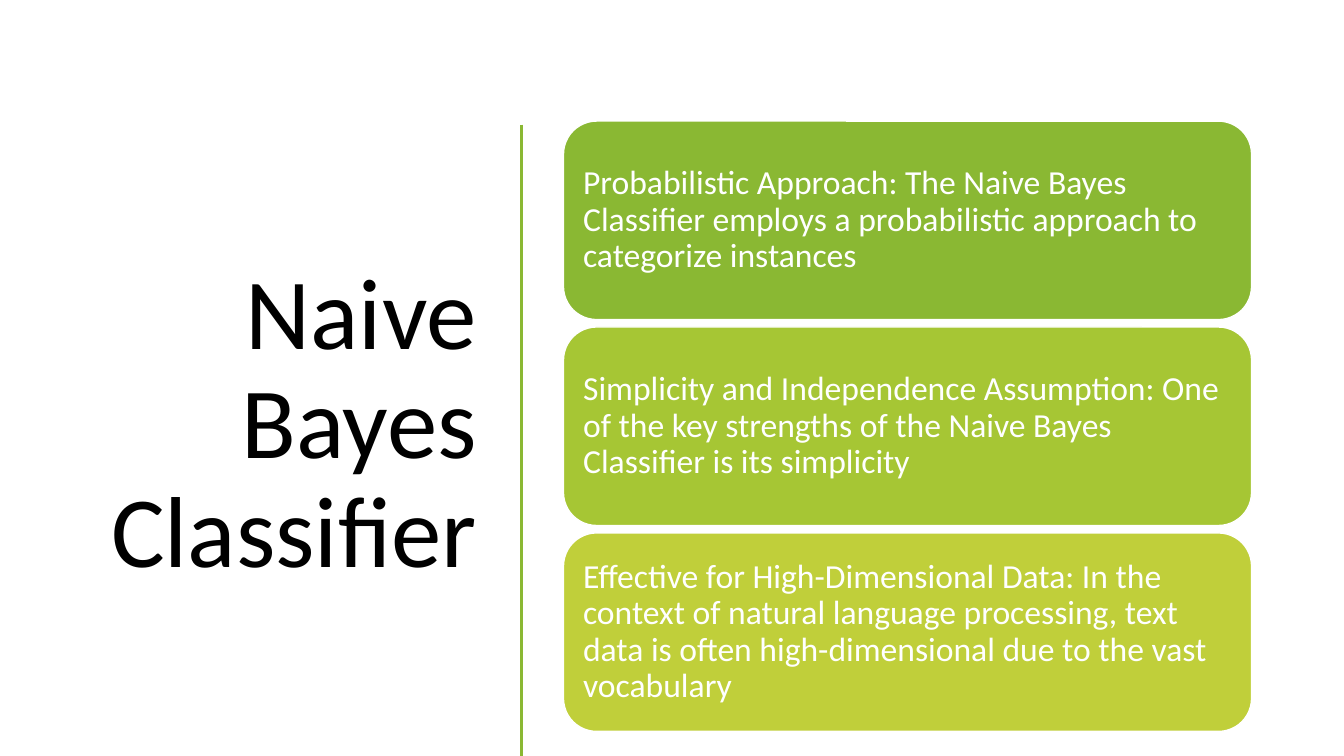
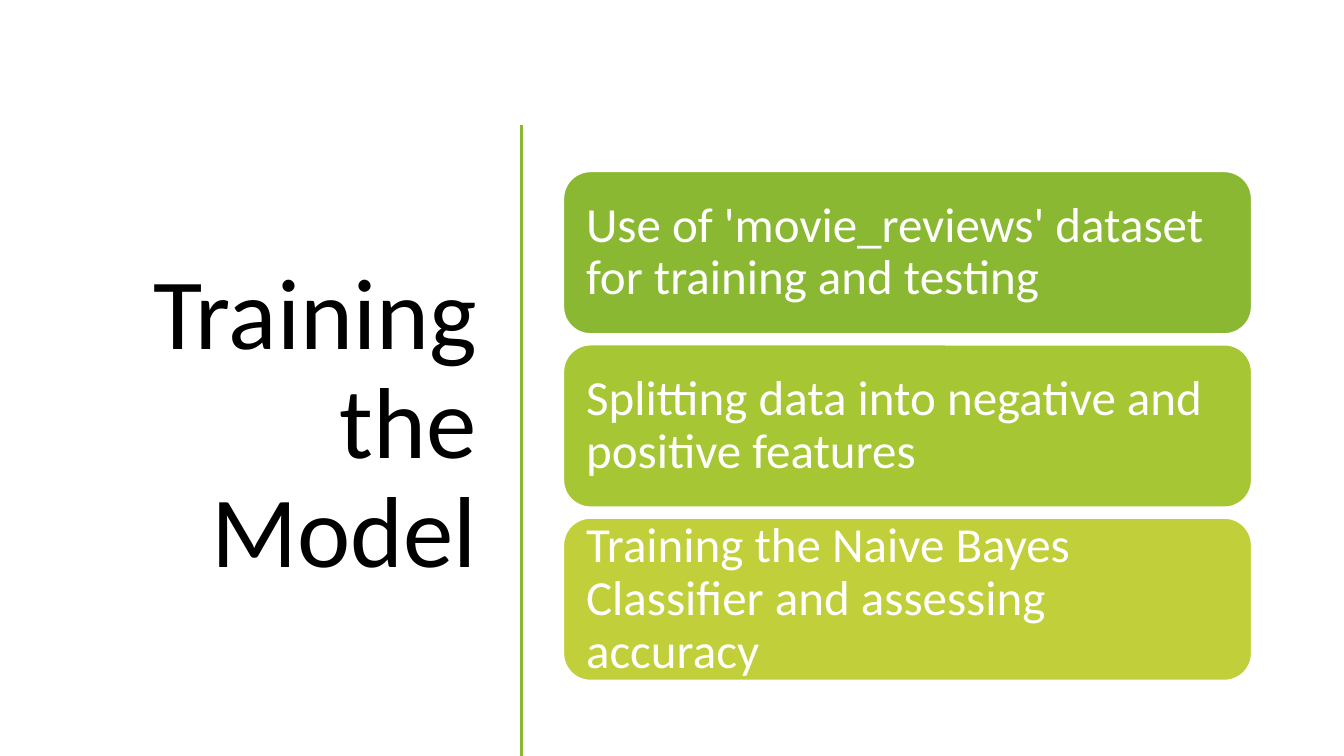
import pptx
import pptx.util
import pptx.dml.color
import pptx.enum.shapes
import pptx.enum.text
import lxml.etree
from pptx.oxml.ns import qn

Pt = pptx.util.Pt
FONT = "Calibri"
COLOURS = {
    "title": "000000",
    "card_text": "FFFFFF",
    "outline": "FFFFFF",
    "divider": "8AB833",
}
CARD_FILLS = ["8AB833", "A6C634", "C0CF3A"]
CARD_LEFT, CARD_WIDTH = 402.5, 491.5

TOPICS = [
    {
        "title": "Naive Bayes Classifier",
        "top": 86.5, "height": 141.8, "gap": 5.3, "inset": 7.2, "size": 24,
        "points": [
            "Probabilistic Approach: The Naive Bayes Classifier employs a "
            "probabilistic approach to categorize instances",
            "Simplicity and Independence Assumption: One of the key strengths "
            "of the Naive Bayes Classifier is its simplicity",
            "Effective for High-Dimensional Data: In the context of natural "
            "language processing, text data is often high-dimensional due to "
            "the vast vocabulary",
        ],
    },
    {
        "title": "Training the Model",
        "top": 122.5, "height": 115.9, "gap": 7.9, "inset": 10.5, "size": 35,
        "points": [
            "Use of 'movie_reviews' dataset for training and testing",
            "Splitting data into negative and positive features",
            "Training the Naive Bayes Classifier and assessing accuracy",
        ],
    },
]


def rgb(value):
    return pptx.dml.color.RGBColor.from_string(value)


def write_text(frame, text, size, colour, align):
    frame.word_wrap = True
    frame.auto_size = pptx.enum.text.MSO_AUTO_SIZE.NONE
    frame.vertical_anchor = pptx.enum.text.MSO_ANCHOR.MIDDLE
    paragraph = frame.paragraphs[0]
    paragraph.alignment = align
    paragraph.line_spacing = 0.9
    run = paragraph.add_run()
    run.text = text
    run.font.name = FONT
    run.font.size = Pt(size)
    run.font.color.rgb = rgb(colour)


def add_title(slide, text):
    title = slide.shapes.title
    title.left, title.top = Pt(37.5), Pt(84.3)
    title.width, title.height = Pt(310.3), Pt(440)
    write_text(title.text_frame, text, 72, COLOURS["title"],
               pptx.enum.text.PP_ALIGN.RIGHT)


def add_divider(slide):
    divider = slide.shapes.add_connector(
        pptx.enum.shapes.MSO_CONNECTOR.STRAIGHT,
        Pt(372.5), Pt(89), Pt(372.5), Pt(540))
    divider.line.color.rgb = rgb(COLOURS["divider"])
    divider.line.width = Pt(2)
    lxml.etree.SubElement(divider._element.spPr, qn("a:effectLst"))


def add_card(slide, text, fill, top, height, inset, size):
    card = slide.shapes.add_shape(
        pptx.enum.shapes.MSO_SHAPE.ROUNDED_RECTANGLE,
        Pt(CARD_LEFT), Pt(top), Pt(CARD_WIDTH), Pt(height))
    card.shadow.inherit = False
    card.fill.solid()
    card.fill.fore_color.rgb = rgb(fill)
    card.line.color.rgb = rgb(COLOURS["outline"])
    card.line.width = Pt(1)
    frame = card.text_frame
    frame.margin_left = frame.margin_right = Pt(inset)
    frame.margin_top = frame.margin_bottom = Pt(inset)
    write_text(frame, text, size, COLOURS["card_text"],
               pptx.enum.text.PP_ALIGN.LEFT)


def add_topic(deck, topic):
    slide = deck.slides.add_slide(deck.slide_layouts.get_by_name("Title Only"))
    add_title(slide, topic["title"])
    add_divider(slide)
    pitch = topic["height"] + topic["gap"]
    for row, (point, fill) in enumerate(zip(topic["points"], CARD_FILLS)):
        add_card(slide, point, fill, topic["top"] + row * pitch,
                 topic["height"], topic["inset"], topic["size"])


def main():
    deck = pptx.Presentation()
    deck.slide_width, deck.slide_height = Pt(960), Pt(540)
    for topic in TOPICS:
        add_topic(deck, topic)
    deck.save("out.pptx")


if __name__ == "__main__":
    main()
